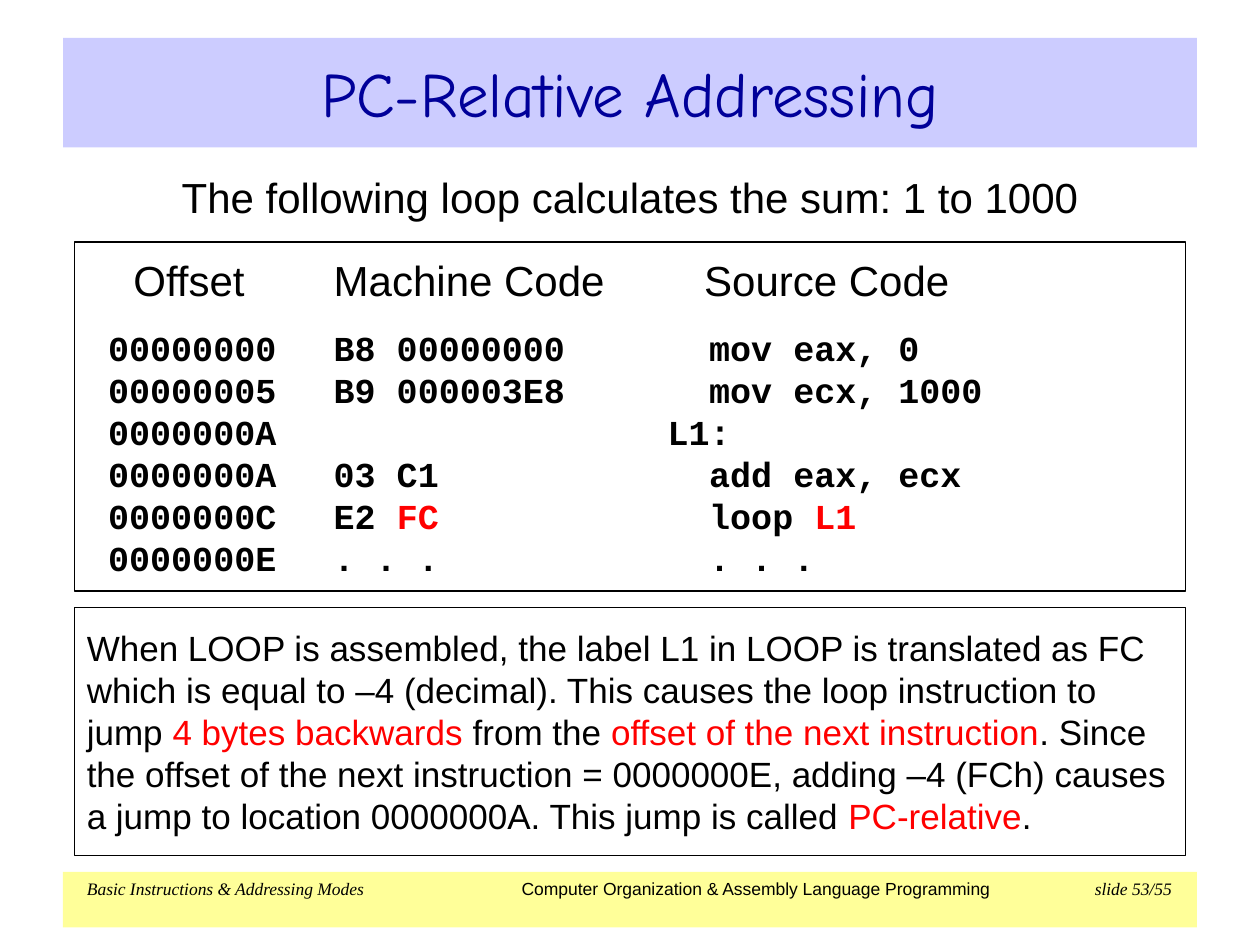
from lxml import etree
from pptx import Presentation
from pptx import util as u
from pptx.dml.color import RGBColor
from pptx.enum import shapes, text
from pptx.oxml.ns import qn

CELL = 0.1  # inches; the slide is 100 columns by 75 rows
BLACK, RED, NAVY = "000000", "FF0000", "000099"
LEFT, MID = text.PP_ALIGN.LEFT, text.PP_ALIGN.CENTER


def hue(code):
    return RGBColor.from_string(code)


def grid(cells):
    return u.Inches(cells * CELL)


class Page:
    def __init__(self, deck):
        self.slide = deck.slides.add_slide(deck.slide_layouts[5])

    def place(self, shape, col, row, wide, high):
        shape.left, shape.top = grid(col), grid(row)
        shape.width, shape.height = grid(wide), grid(high)

    def frame(self, shape, side=1, edge=1, anchor=text.MSO_ANCHOR.TOP):
        body = shape.text_frame
        body.word_wrap = True
        body.vertical_anchor = anchor
        body.margin_left = body.margin_right = grid(side)
        body.margin_top = body.margin_bottom = grid(edge)
        return body

    def title(self, words, area, fill):
        shape = self.slide.shapes.title
        self.place(shape, *area)
        shape.fill.solid()
        shape.fill.fore_color.rgb = hue(fill)
        body = self.frame(shape, anchor=text.MSO_ANCHOR.MIDDLE)
        self.put(body.paragraphs[0], words, 36, "Comic Neue", MID, color=NAVY)

    def box(self, area, fill=None, line=None, side=1, edge=1):
        shape = self.slide.shapes.add_shape(
            shapes.MSO_SHAPE.RECTANGLE, *map(grid, area))
        shape.shadow.inherit = False
        if fill:
            shape.fill.solid()
            shape.fill.fore_color.rgb = hue(fill)
        else:
            shape.fill.background()
        if line:
            shape.line.color.rgb = hue(line)
            shape.line.width = u.Pt(0.74)
        else:
            shape.line.fill.background()
        return self.frame(shape, side, edge)

    def label(self, area, edge):
        shape = self.slide.shapes.add_textbox(*map(grid, area))
        return self.frame(shape, edge=edge)

    def put(self, para, words, size, font="Arial", align=LEFT,
            color=BLACK, bold=False):
        """Set one paragraph; every second part between bars is red."""
        para.alignment = align
        for i, part in enumerate(words.split("|")):
            run = para.add_run()
            run.text = part
            run.font.size, run.font.name = u.Pt(size), font
            run.font.bold = bold
            run.font.color.rgb = hue(RED if i % 2 else color)

    def tabs(self, para, *stops):
        """Set tab stops, each a column and an alignment."""
        holder = etree.SubElement(para._p.get_or_add_pPr(), qn("a:tabLst"))
        for col, side in stops:
            etree.SubElement(holder, qn("a:tab"), pos=str(grid(col)), algn=side)


deck = Presentation()
deck.slide_width, deck.slide_height = grid(100), grid(75)
page = Page(deck)

# Footer band
foot = page.box((5, 69.2, 90, 4.4), fill="FFFF99", side=1.9, edge=0.5)
para = foot.paragraphs[0]
for words, font in (("Basic Instructions & Addressing Modes", "Times New Roman"),
                    ("\tComputer Organization & Assembly Language Programming", "Arial"),
                    ("\tslide 53/55", "Times New Roman")):
    page.put(para, words, 10, font)
    para.runs[-1].font.italic = font != "Arial"
page.tabs(para, (34.5, "l"), (86.1, "r"))

# Title and lead line
page.title("PC-Relative Addressing", (5, 3, 90, 8.7), "CCCCFF")
lead = page.label((5.3, 12.1, 89.4, 7), edge=1.5)
page.put(lead.paragraphs[0], "The following loop calculates the sum: 1 to 1000",
         24, align=MID)

# Explanation
note = page.box((5.9, 48.2, 88.2, 19.7), line=BLACK, edge=1.5)
page.put(note.paragraphs[0],
         "When LOOP is assembled, the label L1 in LOOP is translated as FC "
         "which is equal to –4 (decimal). This causes the loop instruction to "
         "jump |4 bytes backwards| from the |offset of the next instruction|. "
         "Since the offset of the next instruction = 0000000E, adding –4 (FCh) "
         "causes a jump to location 0000000A. This jump is called "
         "|PC-relative|.", 20)

# Program listing: offset, machine code, label, source
code = page.box((5.9, 19.2, 88.2, 27.7), line=BLACK)
head = code.paragraphs[0]
page.put(head, "\tOffset\tMachine Code\tSource Code", 24)
page.tabs(head, (3.7, "l"), (19.6, "l"), (49, "l"))
rows = [
    ("00000000", "B8 00000000", "", "mov eax, 0"),
    ("00000005", "B9 000003E8", "", "mov ecx, 1000"),
    ("0000000A", "", "L1:", ""),
    ("0000000A", "03 C1", "", "add eax, ecx"),
    ("0000000C", "E2 |FC|", "", "loop |L1"),
    ("0000000E", ". . .", "", ". . ."),
]
for i, row in enumerate(rows):
    para = code.add_paragraph()
    page.put(para, "\t" + "\t".join(row).rstrip(), 20, "Courier New", bold=True)
    para.space_before = u.Pt(0 if i else 12.5)
    page.tabs(para, *((col, "l") for col in (1.7, 19.6, 46.1, 49.4)))

deck.save("out.pptx")
